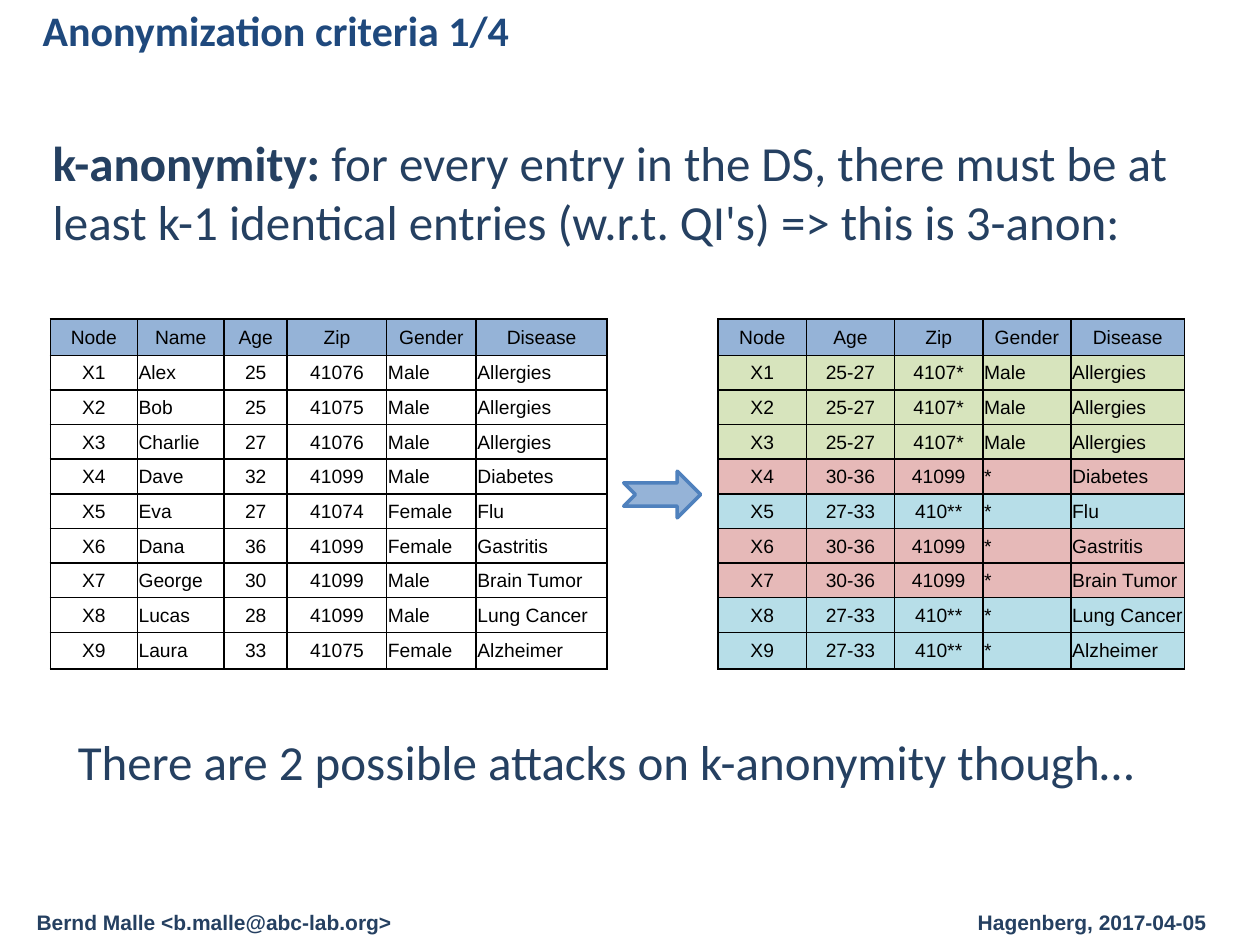
from dataclasses import dataclass

import pptx
import pptx.dml.color
import pptx.enum.shapes
import pptx.enum.text
import pptx.oxml
import pptx.oxml.ns
import pptx.util
from pptx.util import Inches

RGB = pptx.dml.color.RGBColor.from_string
ALIGN = pptx.enum.text.PP_ALIGN


@dataclass(frozen=True)
class Theme:
    title: str = "1F497D"
    body: str = "254061"
    header: str = "95B3D7"
    arrow_line: str = "4F81BD"
    ink: str = "000000"
    green: str = "D7E4BD"
    red: str = "E6B9B8"
    blue: str = "B7DEE8"
    text_font: str = "Calibri"
    data_font: str = "Arial"
    title_size: int = 24
    body_size: int = 28
    footer_size: int = 12
    cell_size: int = 11


THEME = Theme()


@dataclass(frozen=True)
class Label:
    """A line of text; phrases are (wording, bold) pairs."""
    left: float
    top: float
    width: float
    height: float
    phrases: tuple[tuple[str, bool], ...]
    size: int
    font: str = THEME.text_font
    color: str = THEME.body
    wrap: bool = True
    inset: float | None = None


@dataclass(frozen=True)
class Records:
    """A data table; fills holds one colour or None for each body row."""
    left: float
    widths: tuple[float, ...]
    rows: list[list[str]]
    fills: tuple[str | None, ...]
    left_aligned: frozenset[str]


TABLE_TOP, TABLE_HEIGHT = 2.53, 2.78
EDGE_ROW = 0.29  # first and last row; the rows between share the rest


def style_run(run, size: int, font: str, color: str, bold: bool = False) -> None:
    run.font.size = pptx.util.Pt(size)
    run.font.name = font
    run.font.bold = bold
    run.font.color.rgb = RGB(color)


def draw_label(slide, label: Label) -> None:
    frame = slide.shapes.add_textbox(
        Inches(label.left), Inches(label.top), Inches(label.width), Inches(label.height)
    ).text_frame
    frame.word_wrap = label.wrap
    if label.inset is not None:
        frame.margin_left = frame.margin_right = Inches(label.inset)
        frame.margin_top = frame.margin_bottom = Inches(label.inset)
    for wording, bold in label.phrases:
        run = frame.paragraphs[0].add_run()
        run.text = wording
        style_run(run, label.size, label.font, label.color, bold)


def add_borders(cell) -> None:
    properties = cell._tc.get_or_add_tcPr()
    for side in ("lnL", "lnR", "lnT", "lnB"):
        properties.append(pptx.oxml.parse_xml(
            f'<a:{side} {pptx.oxml.ns.nsdecls("a")} w="{pptx.util.Pt(1)}"><a:solidFill>'
            f'<a:srgbClr val="{THEME.ink}"/></a:solidFill></a:{side}>'
        ))


def draw_cell(cell, wording: str, align, fill: str | None) -> None:
    add_borders(cell)
    if fill:
        cell.fill.solid()
        cell.fill.fore_color.rgb = RGB(fill)
    else:
        cell.fill.background()
    cell.margin_left = cell.margin_right = cell.margin_top = Inches(0.01)
    cell.margin_bottom = 0
    cell.vertical_anchor = pptx.enum.text.MSO_ANCHOR.MIDDLE
    paragraph = cell.text_frame.paragraphs[0]
    paragraph.text = wording
    paragraph.alignment = align
    style_run(paragraph.runs[0], THEME.cell_size, THEME.data_font, THEME.ink)


def draw_records(slide, records: Records) -> None:
    header, row_count = records.rows[0], len(records.rows)
    table = slide.shapes.add_table(
        row_count, len(header), Inches(records.left), Inches(TABLE_TOP),
        Inches(sum(records.widths)), Inches(TABLE_HEIGHT),
    ).table
    table.first_row = table.horz_banding = False
    for column, width in zip(table.columns, records.widths):
        column.width = Inches(width)
    inner_row = (TABLE_HEIGHT - 2 * EDGE_ROW) / (row_count - 2)
    row_fills = (THEME.header, *records.fills)
    for r, (values, fill) in enumerate(zip(records.rows, row_fills)):
        table.rows[r].height = Inches(EDGE_ROW if r in (0, row_count - 1) else inner_row)
        for c, value in enumerate(values):
            to_left = r > 0 and header[c] in records.left_aligned
            draw_cell(table.cell(r, c), value, ALIGN.LEFT if to_left else ALIGN.CENTER, fill)


def draw_arrow(slide) -> None:
    arrow = slide.shapes.add_shape(
        pptx.enum.shapes.MSO_SHAPE.NOTCHED_RIGHT_ARROW,
        Inches(4.95), Inches(3.74), Inches(0.61), Inches(0.37),
    )
    arrow.shadow.inherit = False
    arrow.fill.solid()
    arrow.fill.fore_color.rgb = RGB(THEME.header)
    arrow.line.color.rgb = RGB(THEME.arrow_line)
    arrow.line.width = pptx.util.Pt(2)


def split_rows(listing: str) -> list[list[str]]:
    return [line.split(",") for line in listing.strip().splitlines()]


LABELS = (
    # Footer
    Label(0.24, 7.17, 3.02, 0.3, (("Bernd Malle <b.malle@abc-lab.org>", True),),
          THEME.footer_size, THEME.data_font, inset=0.05),
    Label(7.71, 7.17, 2.08, 0.3, (("Hagenberg, 2017-04-05", True),),
          THEME.footer_size, THEME.data_font, inset=0.05),
    # Title, definition and closing remark
    Label(0.24, -0.01, 8.31, 0.47, (("Anonymization criteria 1/4", True),),
          THEME.title_size, color=THEME.title),
    Label(0.32, 1, 9.5, 1.18, (
        ("k-anonymity: ", True),
        ("for every entry in the DS, there must be at least k-1 identical entries "
         "(w.r.t. QI's) => this is 3-anon:", False),
    ), THEME.body_size),
    Label(0.52, 5.76, 8.76, 0.57,
          (("There are 2 possible attacks on k-anonymity though…", False),),
          THEME.body_size, wrap=False),
)

PATIENT_ROWS = split_rows("""
Node,Name,Age,Zip,Gender,Disease
X1,Alex,25,41076,Male,Allergies
X2,Bob,25,41075,Male,Allergies
X3,Charlie,27,41076,Male,Allergies
X4,Dave,32,41099,Male,Diabetes
X5,Eva,27,41074,Female,Flu
X6,Dana,36,41099,Female,Gastritis
X7,George,30,41099,Male,Brain Tumor
X8,Lucas,28,41099,Male,Lung Cancer
X9,Laura,33,41075,Female,Alzheimer
""")

# Each group shares its quasi-identifiers (age, zip, gender) and its colour
GROUPS = {
    "green": (["25-27", "4107*", "Male"], THEME.green),
    "red": (["30-36", "41099", "*"], THEME.red),
    "blue": (["27-33", "410**", "*"], THEME.blue),
}
MEMBERSHIP = ["green"] * 3 + ["red", "blue", "red", "red", "blue", "blue"]
ANONYMIZED_ROWS = [["Node", "Age", "Zip", "Gender", "Disease"]] + [
    [row[0], *GROUPS[group][0], row[-1]]
    for row, group in zip(PATIENT_ROWS[1:], MEMBERSHIP)
]

TEXT_COLUMNS = frozenset({"Name", "Gender", "Disease"})
TABLES = (
    Records(0.4, (0.69, 0.69, 0.5, 0.79, 0.71, 1.04), PATIENT_ROWS,
            (None,) * len(MEMBERSHIP), TEXT_COLUMNS),
    Records(5.7, (0.7, 0.7, 0.7, 0.7, 0.9), ANONYMIZED_ROWS,
            tuple(GROUPS[group][1] for group in MEMBERSHIP), TEXT_COLUMNS),
)


def main() -> None:
    deck = pptx.Presentation()
    deck.slide_width, deck.slide_height = Inches(10), Inches(7.5)
    slide = deck.slides.add_slide(deck.slide_layouts[6])
    for label in LABELS:
        draw_label(slide, label)
    for records in TABLES:
        draw_records(slide, records)
    draw_arrow(slide)
    deck.save("out.pptx")


if __name__ == "__main__":
    main()
